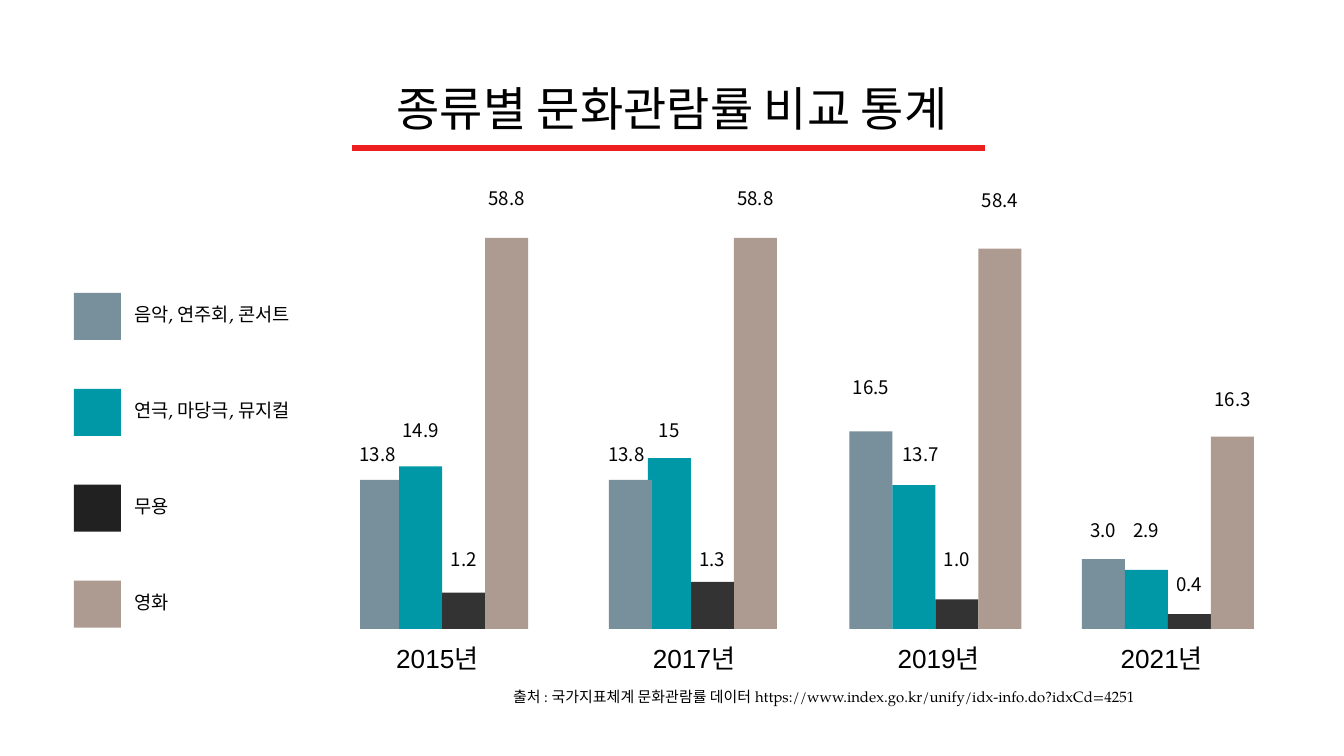
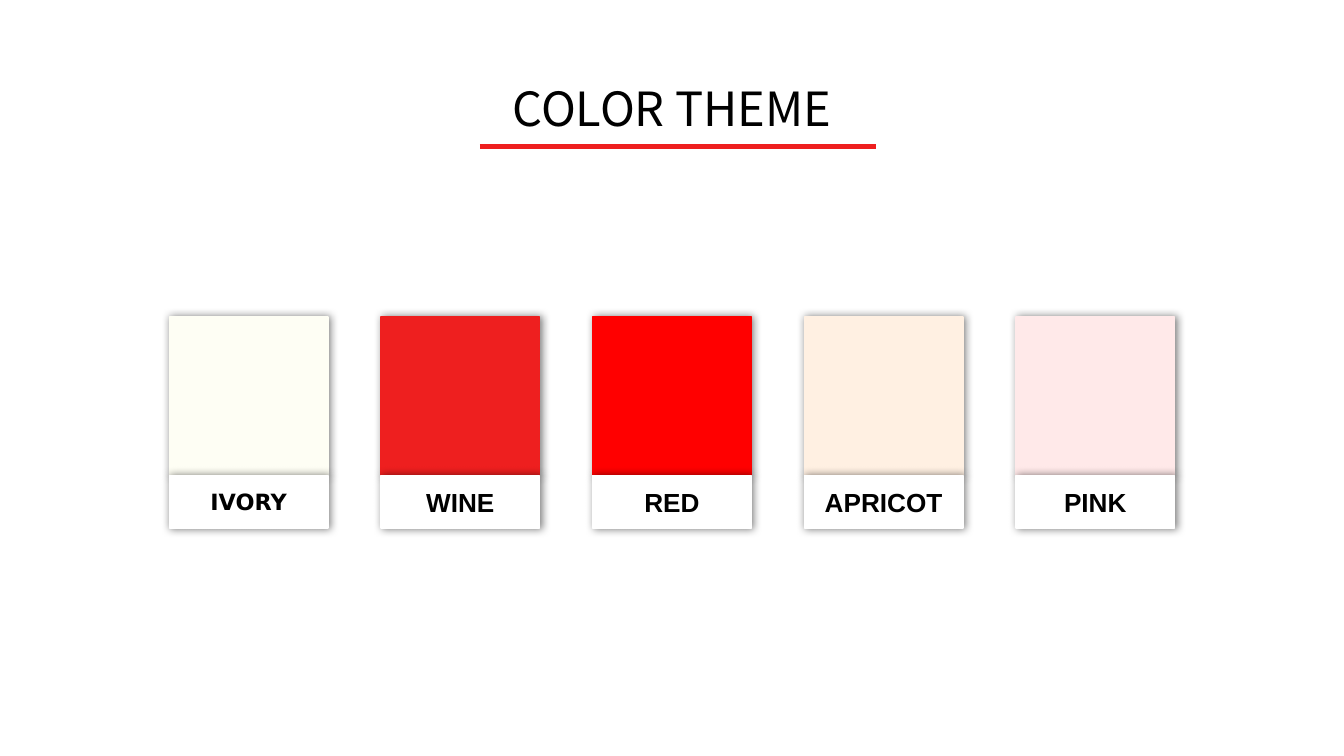
from dataclasses import dataclass

import lxml.etree
import pptx
import pptx.dml.color
import pptx.enum.shapes
import pptx.enum.text
import pptx.oxml.ns
import pptx.presentation
import pptx.shapes.autoshape
import pptx.shapes.base
import pptx.slide
import pptx.util
from pptx.util import Inches

ALIGN = pptx.enum.text.PP_ALIGN
ANCHOR = pptx.enum.text.MSO_ANCHOR


# Shared look
@dataclass(frozen=True)
class Theme:
    black: str = "000000"
    white: str = "FFFFFF"
    accent: str = "EE1F1F"
    music: str = "78909C"
    theatre: str = "0097A7"
    dance: str = "333333"
    dance_key: str = "212121"
    film: str = "AD9B91"
    sans: str = "Noto Sans CJK KR"
    serif: str = "TeX Gyre Pagella"
    plain: str = "Arial"
    alt: str = "DejaVu Sans"
    title: float = 25.2
    heading: float = 14
    tag: float = 12
    label: float = 10
    note: float = 8
    rule: float = 3
    outline: float = 0.75


T = Theme()


@dataclass(frozen=True)
class Year:
    name: str
    name_left: float
    left: float
    values: tuple[str, ...]
    heights: tuple[float, ...]
    label_tops: tuple[float, ...]
    music_shift: float = 0
    theatre_label_shift: float = 0
    music_in_front: bool = False


@dataclass(frozen=True)
class LegendEntry:
    name: str
    color: str


@dataclass(frozen=True)
class Swatch:
    name: str
    color: str
    font: str = T.plain
    size: float = T.heading


# Bar chart geometry
BASELINE = 4.68
BAR_WIDTH = 0.32
LABEL_WIDTH, LABEL_HEIGHT = 0.57, 0.37
BAR_COLORS = (T.music, T.theatre, T.dance, T.film)
YEARS = (
    Year("2015년", 2.85, 2.65, ("13.8", "14.9", "1.2", "58.8"),
         (1.11, 1.21, 0.27, 2.91), (3.21, 3.03, 3.99, 1.31), music_shift=0.03),
    Year("2017년", 4.76, 4.5, ("13.8", "15", "1.3", "58.8"),
         (1.11, 1.27, 0.35, 2.91), (3.21, 3.03, 3.99, 1.31), music_shift=0.03,
         music_in_front=True),
    Year("2019년", 6.58, 6.32, ("16.5", "13.7", "1.0", "58.4"),
         (1.47, 1.07, 0.22, 2.83), (2.71, 3.21, 3.99, 1.32),
         theatre_label_shift=0.05),
    Year("2021년", 8.24, 8.05, ("3.0", "2.9", "0.4", "16.3"),
         (0.52, 0.44, 0.11, 1.43), (3.78, 3.78, 4.18, 2.8)),
)

# Legend
LEGEND_LEFT, LEGEND_TOP, LEGEND_BOTTOM, KEY_SIZE = 0.55, 2.18, 4.67, 0.35
LEGEND = (
    LegendEntry("음악, 연주회, 콘서트", T.music),
    LegendEntry("연극, 마당극, 뮤지컬", T.theatre),
    LegendEntry("무용", T.dance_key),
    LegendEntry("영화", T.film),
)

# Colour cards
CARD_LEFT, CARD_RIGHT, CARD_TOP = 1.26, 8.74, 2.36
CARD_SIZE, TAG_HEIGHT = 1.18, 0.39
SWATCHES = (
    Swatch("IVORY", "FEFEF4", T.alt, T.tag),
    Swatch("WINE", T.accent),
    Swatch("RED", "FF0000"),
    Swatch("APRICOT", "FFF0E2"),
    Swatch("PINK", "FFE9E9"),
)


def rgb(color: str) -> pptx.dml.color.RGBColor:
    return pptx.dml.color.RGBColor.from_string(color)


def spread(first: float, last: float, count: int) -> list[float]:
    """Evenly spaced positions from first to last."""
    return [first + i * (last - first) / (count - 1) for i in range(count)]


def write(sp: pptx.shapes.autoshape.Shape, text: str, size: float, font: str,
          align: ALIGN = ALIGN.LEFT, bold: bool = False) -> None:
    tf = sp.text_frame
    tf.word_wrap = True
    tf.margin_left = tf.margin_right = Inches(0.1)
    tf.margin_top = tf.margin_bottom = Inches(0.1)
    p = tf.paragraphs[0]
    p.text = text
    p.alignment = align
    p.font.size = pptx.util.Pt(size)
    p.font.name = font
    p.font.bold = bold
    p.font.color.rgb = rgb(T.black)


def add_text(s: pptx.slide.Slide, left: float, top: float, width: float, height: float,
             text: str, size: float, font: str, align: ALIGN = ALIGN.LEFT,
             grow: bool = True) -> None:
    sp = s.shapes.add_textbox(Inches(left), Inches(top), Inches(width), Inches(height))
    write(sp, text, size, font, align)
    if grow:
        sp.text_frame.auto_size = pptx.enum.text.MSO_AUTO_SIZE.SHAPE_TO_FIT_TEXT


def add_rect(s: pptx.slide.Slide, left: float, top: float, width: float, height: float,
             color: str) -> pptx.shapes.autoshape.Shape:
    sp = s.shapes.add_shape(pptx.enum.shapes.MSO_SHAPE.RECTANGLE, Inches(left),
                            Inches(top), Inches(width), Inches(height))
    sp.shadow.inherit = False
    sp.fill.solid()
    sp.fill.fore_color.rgb = rgb(color)
    sp.line.fill.background()
    return sp


def add_effects(sp: pptx.shapes.base.BaseShape) -> lxml.etree._Element:
    """Add an empty effect list, which removes the theme shadow."""
    return lxml.etree.SubElement(sp.element.spPr, pptx.oxml.ns.qn("a:effectLst"))


def add_card(s: pptx.slide.Slide, left: float, top: float, height: float,
             color: str) -> pptx.shapes.autoshape.Shape:
    """Rectangle with a thin outline and a soft shadow."""
    sp = add_rect(s, left, top, CARD_SIZE, height, color)
    sp.line.color.rgb = rgb(color)
    sp.line.width = pptx.util.Pt(T.outline)
    qn = pptx.oxml.ns.qn
    effects = sp.element.spPr.find(qn("a:effectLst"))
    shadow = lxml.etree.SubElement(
        effects, qn("a:outerShdw"), blurRad=str(pptx.util.Pt(4.5)),
        dist=str(pptx.util.Pt(0.8)), dir="0", algn="bl", rotWithShape="0")
    shade = lxml.etree.SubElement(shadow, qn("a:srgbClr"), val=T.black)
    lxml.etree.SubElement(shade, qn("a:alpha"), val="50000")
    return sp


def add_titled_slide(prs: pptx.presentation.Presentation, title: str, rule_left: float,
                     rule_right: float, rule_top: float) -> pptx.slide.Slide:
    s = prs.slides.add_slide(prs.slide_layouts[6])
    s.background.fill.solid()
    s.background.fill.fore_color.rgb = rgb(T.white)
    add_text(s, 0.34, 0.49, 9.32, 0.63, title, T.title, T.sans, ALIGN.CENTER, grow=False)
    rule = s.shapes.add_connector(
        pptx.enum.shapes.MSO_CONNECTOR.STRAIGHT, Inches(rule_left), Inches(rule_top),
        Inches(rule_right), Inches(rule_top))
    rule.line.color.rgb = rgb(T.accent)
    rule.line.width = pptx.util.Pt(T.rule)
    add_effects(rule)
    return s


def draw_year(s: pptx.slide.Slide, year: Year) -> None:
    bars = list(enumerate(zip(BAR_COLORS, year.heights)))
    if year.music_in_front:
        bars.reverse()
    for i, (color, height) in bars:
        shift = year.music_shift if i == 0 else 0
        add_rect(s, year.left + i * BAR_WIDTH + shift, BASELINE - height,
                 BAR_WIDTH, height, color)
    for i, (value, top) in enumerate(zip(year.values, year.label_tops)):
        shift = year.theatre_label_shift if i == 1 else 0
        center = year.left + (i + 0.5) * BAR_WIDTH + shift
        add_text(s, center - LABEL_WIDTH / 2, top, LABEL_WIDTH, LABEL_HEIGHT,
                 value, T.label, T.sans, ALIGN.CENTER)
    add_text(s, year.name_left, BASELINE, 0.9, 0.44, year.name, T.heading, T.plain)


def build_statistics(prs: pptx.presentation.Presentation) -> None:
    s = add_titled_slide(prs, "종류별 문화관람률 비교 통계", 2.62, 7.33, 1.1)
    for year in YEARS:
        draw_year(s, year)
    tops = spread(LEGEND_TOP, LEGEND_BOTTOM - KEY_SIZE, len(LEGEND))
    for entry, top in zip(LEGEND, tops):
        add_rect(s, LEGEND_LEFT, top, KEY_SIZE, KEY_SIZE, entry.color)
        add_text(s, LEGEND_LEFT + KEY_SIZE, top - 0.01, 1.75, LABEL_HEIGHT,
                 entry.name, T.label, T.serif)
    add_text(s, 3.72, 5.05, 6.8, 0.34,
             "출처 : 국가지표체계 문화관람률 데이터 "
             "https://www.index.go.kr/unify/idx-info.do?idxCd=4251", T.note, T.serif)


def build_colors(prs: pptx.presentation.Presentation) -> None:
    s = add_titled_slide(prs, "COLOR THEME", 3.57, 6.52, 1.09)
    lefts = spread(CARD_LEFT, CARD_RIGHT - CARD_SIZE, len(SWATCHES))
    for swatch, left in zip(SWATCHES, lefts):
        add_card(s, left, CARD_TOP, CARD_SIZE, swatch.color)
        tag = add_card(s, left, CARD_TOP + CARD_SIZE, TAG_HEIGHT, T.white)
        write(tag, swatch.name, swatch.size, swatch.font, ALIGN.CENTER, bold=True)
        tag.text_frame.vertical_anchor = ANCHOR.MIDDLE


def main() -> None:
    prs = pptx.Presentation()
    # Widescreen, 16:9
    prs.slide_width = Inches(10)
    prs.slide_height = Inches(10 * 9 / 16)
    build_statistics(prs)
    build_colors(prs)
    prs.save("out.pptx")


if __name__ == "__main__":
    main()
